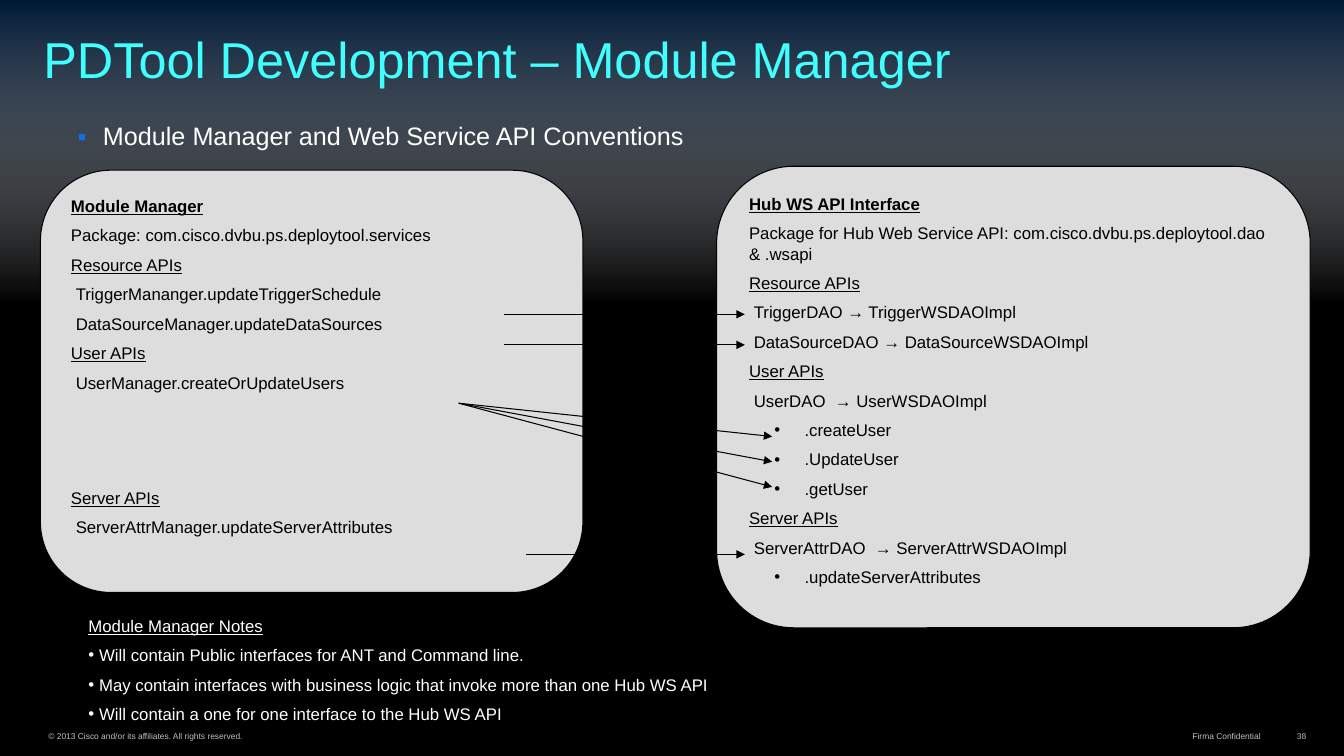
from lxml import etree
from pptx import Presentation
from pptx.dml.color import RGBColor
from pptx.enum.shapes import MSO_CONNECTOR, MSO_SHAPE
from pptx.enum.text import MSO_ANCHOR, PP_ALIGN
from pptx.oxml.ns import qn
from pptx.util import Cm, Pt

BLACK = RGBColor(0x00, 0x00, 0x00)
WHITE = RGBColor(0xFF, 0xFF, 0xFF)
NAVY = RGBColor(0x00, 0x1A, 0x38)
PANEL = RGBColor(0xDD, 0xDD, 0xDD)
CYAN = RGBColor(0x40, 0xFF, 0xFE)
BLUE = RGBColor(0x10, 0x6F, 0xE2)
SILVER = RGBColor(0xC0, 0xC0, 0xC0)
FONT = "Arial"
LINE = MSO_CONNECTOR.STRAIGHT
RECT = MSO_SHAPE.RECTANGLE
ROUND = MSO_SHAPE.ROUNDED_RECTANGLE
TOP, BOTTOM = MSO_ANCHOR.TOP, MSO_ANCHOR.BOTTOM
LEFT, RIGHT = PP_ALIGN.LEFT, PP_ALIGN.RIGHT
GAP = 6.6

HEAD = {"bold": True, "under": True}
GROUP = {"under": True}
CALL = {"left": 0.12}
ITEM = {"mark": "•", "left": 1.4, "hang": 0.76}
NOTE = {"mark": "•", "left": 0.27, "hang": 0.27, "color": WHITE}

MANAGER = [
    ("Module Manager", HEAD),
    ("Package: com.cisco.dvbu.ps.deploytool.services", {}),
    ("Resource APIs", GROUP),
    ("TriggerMananger.updateTriggerSchedule", CALL),
    ("DataSourceManager.updateDataSources", CALL),
    ("User APIs", GROUP),
    ("UserManager.createOrUpdateUsers", CALL),
    ("Server APIs", {"under": True, "before": 67.8}),
    ("ServerAttrManager.updateServerAttributes", CALL),
]
SERVICE = [
    ("Hub WS API Interface", HEAD),
    ("Package for Hub Web Service API: com.cisco.dvbu.ps.deploytool.dao & .wsapi", {}),
    ("Resource APIs", GROUP),
    ("TriggerDAO → TriggerWSDAOImpl", CALL),
    ("DataSourceDAO → DataSourceWSDAOImpl", CALL),
    ("User APIs", GROUP),
    ("UserDAO  → UserWSDAOImpl", CALL),
    (".createUser", ITEM),
    (".UpdateUser", ITEM),
    (".getUser", ITEM),
    ("Server APIs", GROUP),
    ("ServerAttrDAO  → ServerAttrWSDAOImpl", CALL),
    (".updateServerAttributes", ITEM),
]
NOTES = [
    ("Module Manager Notes", {"under": True, "color": WHITE}),
    ("Will contain Public interfaces for ANT and Command line.", NOTE),
    ("May contain interfaces with business logic that invoke more than one Hub WS API", NOTE),
    ("Will contain a one for one interface to the Hub WS API", NOTE),
]
FOOTER = [
    ("© 2013 Cisco and/or its affiliates. All rights reserved.", 0.99, 12.67, LEFT),
    ("Firma Confidential", 28, 4, RIGHT),
    ("38", 32.15, 1, RIGHT),
]
ARROWS = [(11.56, 10.16, 19.46, 11 + 0.635 * i) for i in range(3)] + [
    (12.7, 7.92, 18.77, 7.92),
    (12.7, 8.69, 18.77, 8.69),
    (13.26, 13.97, 18.77, 13.97),
]


def area(*box):
    return [Cm(size) for size in box]


def place(shape, *box):
    shape.left, shape.top, shape.width, shape.height = area(*box)


def write(frame, text, size=12, color=BLACK, bold=False, under=False, align=LEFT,
          before=GAP, space=1.0, mark=None, tint=None, left=0, hang=0):
    first = not frame.text
    para = frame.paragraphs[0] if first else frame.add_paragraph()
    props = para._p.get_or_add_pPr()
    props.set("marL", str(Cm(left)))
    props.set("indent", str(-Cm(hang)))
    if mark:
        if tint:
            shade = etree.SubElement(props, qn("a:buClr"))
            etree.SubElement(shade, qn("a:srgbClr"), val=str(tint))
        etree.SubElement(props, qn("a:buFont"), typeface=FONT)
        etree.SubElement(props, qn("a:buChar"), char=mark)
    else:
        etree.SubElement(props, qn("a:buNone"))
    para.alignment = align
    para.line_spacing = space
    para.space_before = Pt(0 if first else before)
    run = para.add_run()
    run.text = text
    font = run.font
    font.name, font.size, font.bold, font.underline = FONT, Pt(size), bold, under
    font.color.rgb = color


def fill(frame, rows):
    frame.word_wrap = True
    frame.vertical_anchor = TOP
    for text, style in rows:
        write(frame, text, **style)


def glow(slide):
    band = slide.shapes.add_shape(RECT, *area(0, 0, 33.87, 7.65))
    band.shadow.inherit = False
    band.line.fill.background()
    band.fill.gradient()
    band.fill.gradient_angle = 270
    for stop, color, spot in zip(band.fill.gradient_stops, (NAVY, WHITE), (0, 1)):
        stop.color.rgb = color
        stop.position = spot
    clear = band._element.spPr.findall(".//" + qn("a:srgbClr"))[-1]
    etree.SubElement(clear, qn("a:alpha"), val="0")
    slide.shapes._spTree.insert(2, band._element)


def panel(slide, rows, *box):
    shape = slide.shapes.add_shape(ROUND, *area(*box))
    shape.adjustments[0] = 0.167
    shape.shadow.inherit = False
    shape.fill.solid()
    shape.fill.fore_color.rgb = PANEL
    shape.line.color.rgb = BLACK
    shape.line.width = Pt(0.75)
    fill(shape.text_frame, rows)


def arrow(slide, *ends):
    link = slide.shapes.add_connector(LINE, *area(*ends))
    link.line.color.rgb = BLACK
    link.line.width = Pt(0.75)
    etree.SubElement(link.line._get_or_add_ln(), qn("a:tailEnd"), type="triangle")
    etree.SubElement(link._element.spPr, qn("a:effectLst"))


def footer(slide, text, left, width, align):
    frame = slide.shapes.add_textbox(*area(left, 18.29, width, 0.48)).text_frame
    frame.word_wrap = True
    frame.vertical_anchor = BOTTOM
    frame.margin_left = frame.margin_right = Cm(0.23)
    frame.margin_top = frame.margin_bottom = Cm(0.1)
    write(frame, text, size=6, color=SILVER, align=align)


def main():
    deck = Presentation()
    deck.slide_width, deck.slide_height = Cm(33.87), Cm(19.05)
    slide = deck.slides.add_slide(deck.slide_layouts[1])
    slide.background.fill.solid()
    slide.background.fill.fore_color.rgb = BLACK
    glow(slide)
    title, body = slide.placeholders
    place(title, 0.84, 0, 31.78, 2.34)
    title.text_frame.vertical_anchor = BOTTOM
    write(title.text_frame, "PDTool Development – Module Manager",
          size=36, color=CYAN, space=0.8)
    place(body, 1.7, 2.97, 28.5, 1.07)
    fill(body.text_frame, [
        ("Module Manager and Web Service API Conventions",
         {"size": 18, "color": WHITE, "space": 0.95, "mark": "▪",
          "tint": BLUE, "left": 0.64, "hang": 0.64}),
    ])
    panel(slide, MANAGER, 1.02, 4.29, 13.67, 10.64)
    panel(slide, SERVICE, 18.06, 4.19, 14.96, 11.63)
    for ends in ARROWS:
        arrow(slide, *ends)
    notes = slide.shapes.add_textbox(*area(1.98, 15.39, 25.4, 3.05))
    fill(notes.text_frame, NOTES)
    for item in FOOTER:
        footer(slide, *item)
    deck.save("out.pptx")


if __name__ == "__main__":
    main()
